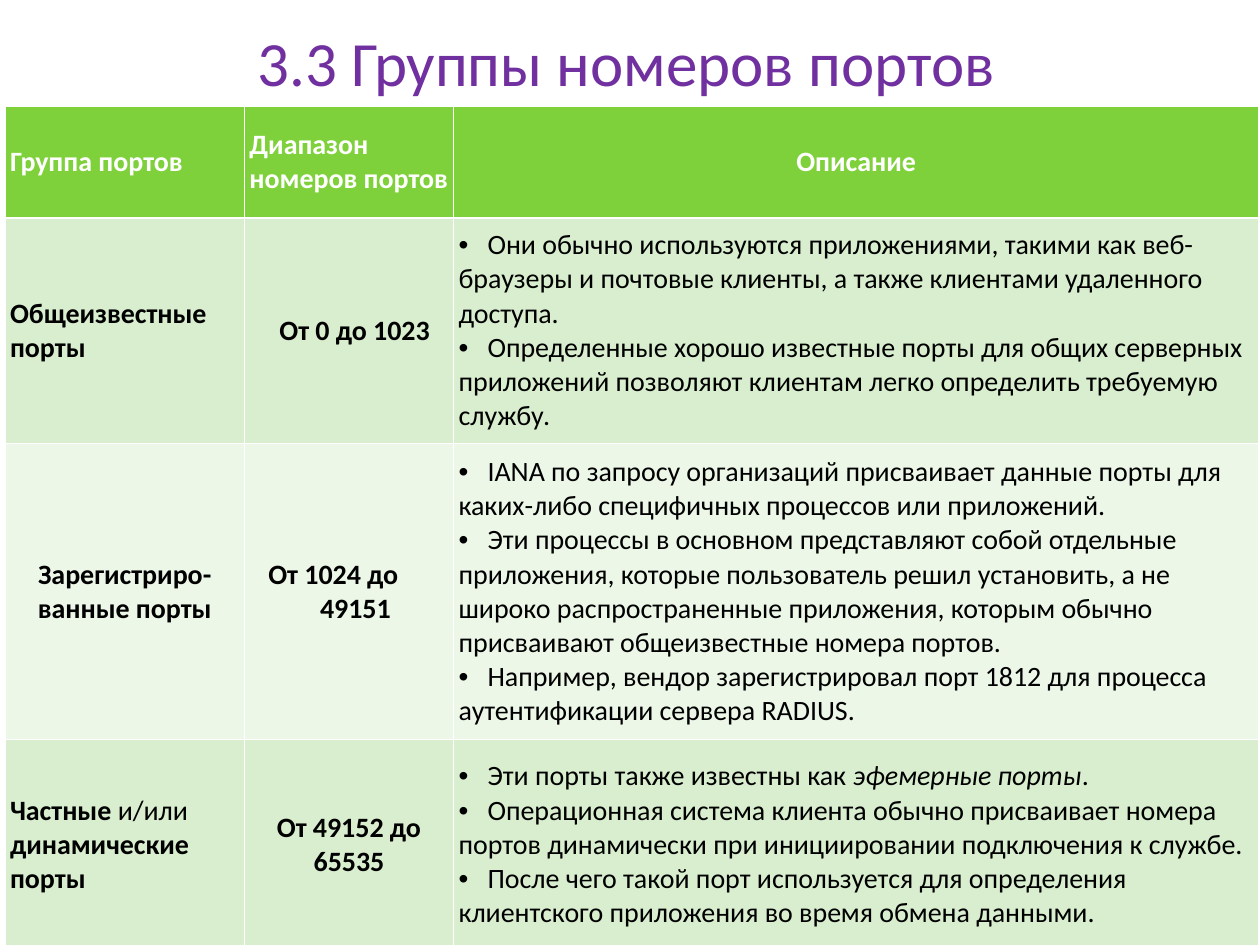
import pptx
import pptx.dml.color
import pptx.enum.text
import pptx.oxml.ns
import pptx.util
from lxml import etree

Inches = pptx.util.Inches
Pt = pptx.util.Pt
qn = pptx.oxml.ns.qn
ALIGN = pptx.enum.text.PP_ALIGN
MIDDLE = pptx.enum.text.MSO_ANCHOR.MIDDLE

COLORS = {
    "title": "7030A0",
    "header": "7FD13B",
    "odd": "D8EECE",
    "even": "ECF7E8",
    "white": "FFFFFF",
    "black": "000000",
}
FONT = "Calibri"
BULLET_GAP = 0.23
COLUMN_WIDTHS = [1.9, 1.66, 6.39]
ROW_HEIGHTS = [0.89, 1.79, 2.35, 1.67]

HEADERS = [
    ("Группа портов", ALIGN.LEFT),
    ("Диапазон номеров портов", ALIGN.LEFT),
    ("Описание", ALIGN.CENTER),
]

PORT_GROUPS = [
    {
        "name": [[("Общеизвестные порты", {})]],
        "name_format": {},
        "range": "От 0 до 1023",
        "range_format": {"align": ALIGN.CENTER, "margin": 0.09},
        "description": [
            [("Они обычно используются приложениями, такими как веб-браузеры и почтовые клиенты, "
              "а также клиентами удаленного доступа.", {})],
            [("Определенные хорошо известные порты для общих серверных приложений позволяют "
              "клиентам легко определить требуемую службу.", {})],
        ],
    },
    {
        "name": [[("Зарегистриро-", {})], [("ванные порты", {})]],
        "name_format": {"align": ALIGN.CENTER},
        "range": "От 1024 до 49151",
        "range_format": {"margin": 0.56, "indent": -0.41},
        "description": [
            [("IANA по запросу организаций присваивает данные порты для каких-либо "
              "специфичных процессов или приложений.", {})],
            [("Эти процессы в основном представляют собой отдельные приложения, которые "
              "пользователь решил установить, а не широко распространенные приложения, "
              "которым обычно присваивают общеизвестные номера портов.", {})],
            [("Например, вендор зарегистрировал порт 1812 для процесса аутентификации "
              "сервера RADIUS.", {})],
        ],
    },
    {
        "name": [[("Частные ", {}), ("и/или", {"bold": False}), (" динамические порты", {})]],
        "name_format": {},
        "range": "От 49152 до 65535",
        "range_format": {"align": ALIGN.CENTER},
        "description": [
            [("Эти порты также известны как ", {}), ("эфемерные порты", {"italic": True}), (".", {})],
            [("Операционная система клиента обычно присваивает номера портов динамически "
              "при инициировании подключения к службе.", {})],
            [("После чего такой порт используется для определения клиентского приложения "
              "во время обмена данными.", {})],
        ],
    },
]


def rgb(name):
    return pptx.dml.color.RGBColor.from_string(COLORS[name])


def add_span(para, text, size=16, color="black", bold=False, italic=False):
    span = para.add_run()
    span.text = text
    span.font.name = FONT
    span.font.size = Pt(size)
    span.font.bold = bold
    span.font.italic = italic
    span.font.color.rgb = rgb(color)


def set_bullet(para):
    properties = para._p.get_or_add_pPr()
    etree.SubElement(properties, qn("a:buFont"), typeface="Arial")
    etree.SubElement(properties, qn("a:buChar"), char="•")
    tabs = etree.SubElement(properties, qn("a:tabLst"))
    etree.SubElement(tabs, qn("a:tab"), pos=str(Inches(BULLET_GAP)), algn="l")


def write_paragraphs(frame, paragraphs, align=ALIGN.LEFT, margin=0, indent=0,
                     bullet=False, **style):
    for index, spans in enumerate(paragraphs):
        para = frame.add_paragraph() if index else frame.paragraphs[0]
        para.alignment = align
        properties = para._p.get_or_add_pPr()
        properties.set("marL", str(Inches(margin)))
        properties.set("indent", str(Inches(indent)))
        if bullet:
            set_bullet(para)
        for position, (text, changes) in enumerate(spans):
            lead = "\t" if bullet and position == 0 else ""
            add_span(para, lead + text, **{**style, **changes})


def set_borders(cell):
    properties = cell._tc.get_or_add_tcPr()
    for index, side in enumerate(("lnL", "lnR", "lnT", "lnB")):
        line = etree.Element(qn("a:" + side), w=str(Pt(1)))
        fill = etree.SubElement(line, qn("a:solidFill"))
        etree.SubElement(fill, qn("a:srgbClr"), val=COLORS["white"])
        properties.insert(index, line)


def fill_cell(cell, fill, paragraphs, **style):
    cell.fill.solid()
    cell.fill.fore_color.rgb = rgb(fill)
    set_borders(cell)
    cell.vertical_anchor = MIDDLE
    cell.margin_left = cell.margin_right = Inches(0.04)
    cell.margin_top = cell.margin_bottom = Inches(0.05)
    write_paragraphs(cell.text_frame, paragraphs, **style)


def add_title(page, left, top, width, height):
    box = page.shapes.add_textbox(Inches(left), Inches(top), Inches(width), Inches(height))
    frame = box.text_frame
    frame.word_wrap = True
    frame.vertical_anchor = MIDDLE
    write_paragraphs(frame, [[("3.3 Группы номеров портов", {})]],
                     align=ALIGN.CENTER, size=36, color="title")


def add_port_table(page, left, top):
    table = page.shapes.add_table(
        len(ROW_HEIGHTS), len(COLUMN_WIDTHS), Inches(left), Inches(top),
        Inches(sum(COLUMN_WIDTHS)), Inches(sum(ROW_HEIGHTS))).table
    for column, width in zip(table.columns, COLUMN_WIDTHS):
        column.width = Inches(width)
    for row, height in zip(table.rows, ROW_HEIGHTS):
        row.height = Inches(height)
    for column, (text, align) in enumerate(HEADERS):
        fill_cell(table.cell(0, column), "header", [[(text, {})]],
                  align=align, color="white", bold=True)
    for row, group in enumerate(PORT_GROUPS, start=1):
        fill = "odd" if row % 2 else "even"
        fill_cell(table.cell(row, 0), fill, group["name"], bold=True, **group["name_format"])
        fill_cell(table.cell(row, 1), fill, [[(group["range"], {})]],
                  bold=True, **group["range_format"])
        fill_cell(table.cell(row, 2), fill, group["description"], bullet=True)


def main():
    deck = pptx.Presentation()
    deck.slide_width = Inches(10)
    deck.slide_height = Inches(7.5)
    page = deck.slides.add_slide(deck.slide_layouts[6])
    add_title(page, 0.51, 0.14, 8.92, 0.7)
    add_port_table(page, 0.04, 0.84)
    deck.save("out.pptx")


if __name__ == "__main__":
    main()
